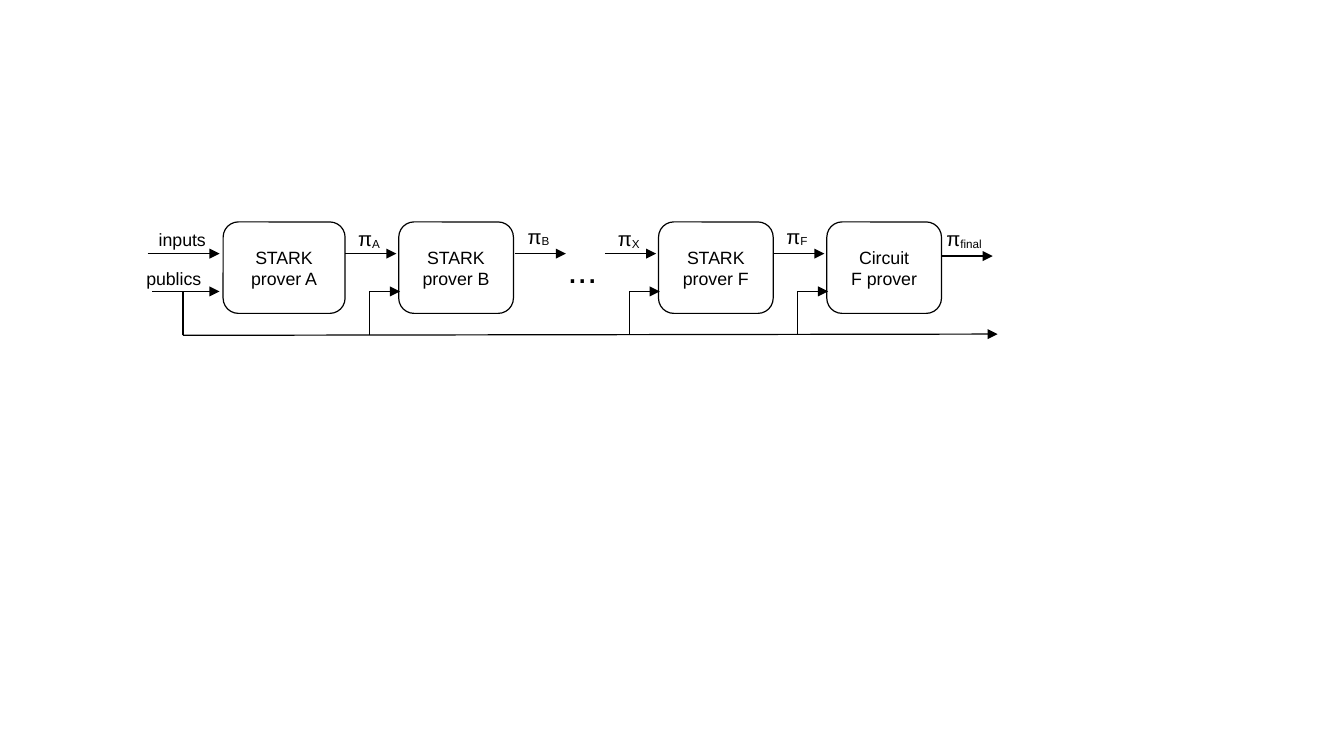
from lxml import etree
from pptx import Presentation
from pptx.dml.color import RGBColor
from pptx.enum import shapes, text
from pptx.oxml import ns
from pptx.util import Inches, Pt

BLACK = RGBColor(0x00, 0x00, 0x00)
WHITE = RGBColor(0xFF, 0xFF, 0xFF)
FONT = "Arial"
LINE_WIDTH = Pt(0.71)

BOX_TOP, BOX_HEIGHT = 1.82, 0.75
PROOF_Y, PUBLICS_Y, BUS_Y = 2.08, 2.39, 2.75
ARROW_LENGTH = 0.42
TAP_LENGTH = 0.25
LABEL_WIDTH = 0.75

# left, width, text
PROVERS = [
    (1.83, 1.0, "STARK\nprover A"),
    (3.27, 0.94, "STARK\nprover B"),
    (5.4, 0.94, "STARK\nprover F"),
    (6.78, 0.94, "Circuit\nF prover"),
]
# arrow start, arrow y, label left, label top, subscript
PROOFS = [
    (2.83, PROOF_Y, 2.65, 1.81, "A"),
    (4.22, PROOF_Y, 4.04, 1.79, "B"),
    (4.96, PROOF_Y, 4.78, 1.81, "X"),
    (6.34, PROOF_Y, 6.16, 1.79, "F"),
    (7.72, 2.1, 7.53, 1.81, "final"),
]


def style_text(tf, size):
    tf.word_wrap = True
    tf.vertical_anchor = text.MSO_ANCHOR.MIDDLE
    for p in tf.paragraphs:
        p.alignment = text.PP_ALIGN.CENTER
        for r in p.runs:
            r.font.name = FONT
            r.font.size = Pt(size)
            r.font.color.rgb = BLACK


def add_label(slide, left, top, height, label, size, subscript=""):
    sp = slide.shapes.add_textbox(
        Inches(left), Inches(top), Inches(LABEL_WIDTH), Inches(height))
    tf = sp.text_frame
    tf.text = label
    if subscript:
        r = tf.paragraphs[0].add_run()
        r.text = subscript
        r.font._element.set("baseline", "-8000")
    style_text(tf, size)


def add_line(slide, x1, y1, x2, y2, arrow=False):
    line = slide.shapes.add_connector(
        shapes.MSO_CONNECTOR.STRAIGHT,
        Inches(x1), Inches(y1), Inches(x2), Inches(y2))
    line.line.color.rgb = BLACK
    line.line.width = LINE_WIDTH
    if arrow:
        ln = line.line._get_or_add_ln()
        etree.SubElement(ln, ns.qn("a:tailEnd"), type="triangle")
    etree.SubElement(line._element.spPr, ns.qn("a:effectLst"))


def add_prover(slide, left, width, label):
    sp = slide.shapes.add_shape(
        shapes.MSO_SHAPE.ROUNDED_RECTANGLE,
        Inches(left), Inches(BOX_TOP), Inches(width), Inches(BOX_HEIGHT))
    sp.shadow.inherit = False
    sp.fill.solid()
    sp.fill.fore_color.rgb = WHITE
    sp.line.color.rgb = BLACK
    sp.line.width = LINE_WIDTH
    sp.text_frame.text = label
    style_text(sp.text_frame, 10.5)


def add_proof(slide, start, y, left, top, subscript):
    add_line(slide, start, y, start + ARROW_LENGTH, y, arrow=True)
    add_label(slide, left, top, 0.29, "π", 12, subscript)


def add_publics_tap(slide, prover_left):
    """Branch from the publics bus up into a prover."""
    x = prover_left - TAP_LENGTH + 0.01
    add_line(slide, x, PUBLICS_Y, x, BUS_Y)
    add_line(slide, x, PUBLICS_Y, x + TAP_LENGTH, PUBLICS_Y, arrow=True)


def add_sources(slide):
    """Inputs, publics and the bus that carries publics to every prover."""
    add_label(slide, 1.12, 1.83, 0.26, "inputs", 10.5)
    add_label(slide, 1.05, 2.15, 0.26, "publics", 10.5)
    add_line(slide, 1.21, PROOF_Y, 1.8, PROOF_Y, arrow=True)
    add_line(slide, 1.25, PUBLICS_Y, 1.8, PUBLICS_Y, arrow=True)
    add_line(slide, 1.5, PUBLICS_Y, 1.5, BUS_Y)
    add_line(slide, 1.5, BUS_Y, 8.18, BUS_Y - 0.01, arrow=True)


def main():
    prs = Presentation()
    prs.slide_width, prs.slide_height = Inches(11.02), Inches(6.2)
    slide = prs.slides.add_slide(prs.slide_layouts[6])
    for prover in PROVERS:
        add_prover(slide, *prover)
    add_sources(slide)
    for left, _, _ in PROVERS[1:]:
        add_publics_tap(slide, left)
    for proof in PROOFS:
        add_proof(slide, *proof)
    add_label(slide, 4.4, 2, 0.42, "...", 21)
    prs.save("out.pptx")


if __name__ == "__main__":
    main()
